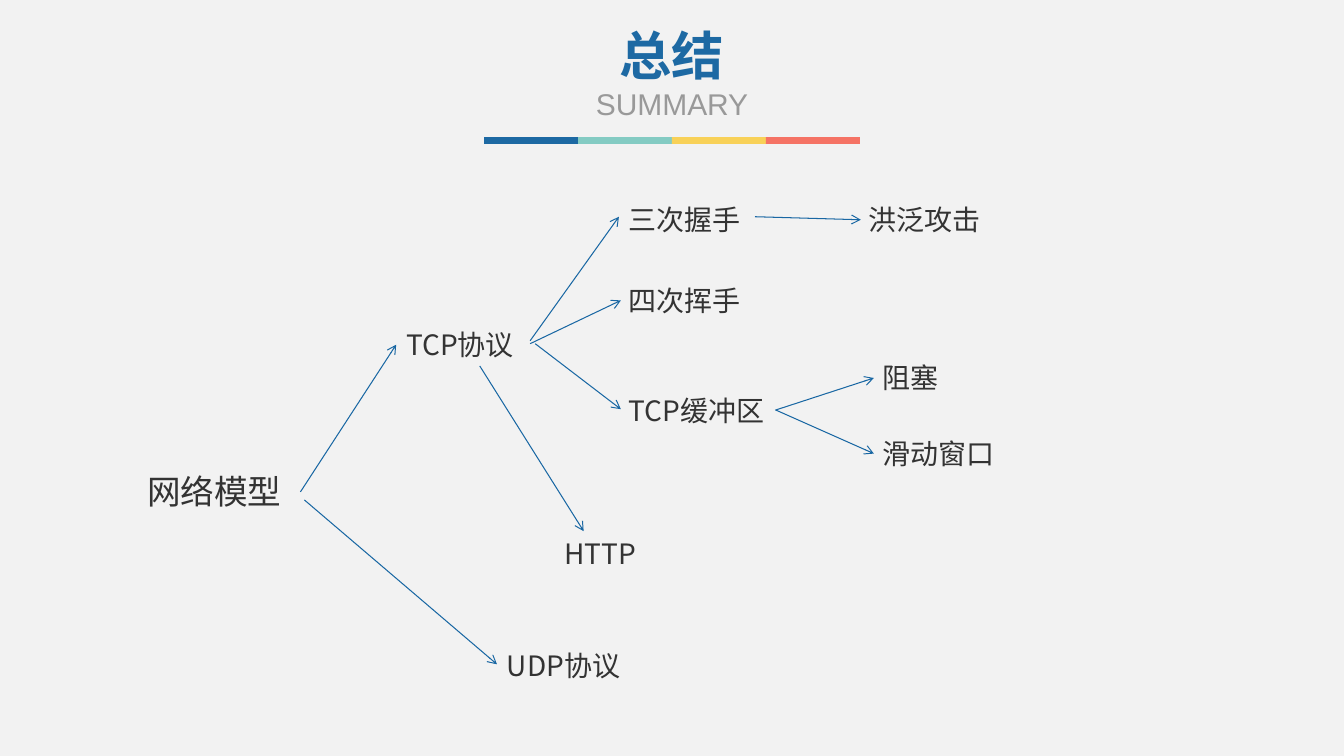
from pptx import Presentation
from pptx.dml.color import RGBColor
from pptx.enum.shapes import MSO_CONNECTOR, MSO_SHAPE
from pptx.enum.text import MSO_AUTO_SIZE, PP_ALIGN
from pptx.oxml.ns import qn
from pptx.util import Pt
from lxml.etree import SubElement

# Content: lengths in points
CJK = "Noto Sans CJK SC"
BAR_COLORS = ["1D69A3", "84CBC3", "F8D158", "F57365"]
TITLE = [  # text, size, font, colour, bold
    ("总结", 37.4, "Roboto Condensed", "1D69A3", True),
    ("SUMMARY", 21.4, "Arial", "999999", False),
]
NODES = [  # text, left, top, width, size
    ("网络模型", 98, 332.6, 117.4, 24),
    ("TCP协议", 283, 230.4, 118.8, 20),
    ("UDP协议", 355, 459.4, 124.6, 20),
    ("HTTP", 396, 379.4, 100.8, 20),
    ("三次握手", 442, 141.1, 118.8, 20),
    ("四次挥手", 442, 198.7, 118.8, 20),
    ("TCP缓冲区", 442, 277.2, 118.8, 20),
    ("洪泛攻击", 613.4, 141.1, 118.8, 20),
    ("阻塞", 623.5, 254.2, 118.8, 20),
    ("滑动窗口", 623.5, 308.2, 118.8, 20),
]
ARROWS = [  # start x, start y, end x, end y
    (217.4, 357.1, 355, 474.5),
    (214.6, 351.4, 283, 246.2),
    (342.7, 261.4, 416.9, 379.4),
    (378.7, 243.4, 442.1, 154.8),
    (378.7, 245.5, 443.5, 214.6),
    (382.3, 245.5, 443.5, 292.3),
    (539.3, 154.8, 614.9, 157),
    (553.7, 293, 624.2, 270),
    (554.4, 293, 624.2, 324),
]
BAR_LEFT, BAR_TOP, BAR_W, BAR_H = 345.8, 97.9, 67.1, 5


def rgb(color):
    return RGBColor.from_string(color)


def add_text(s, left, top, width, height, lines, align):
    tf = s.shapes.add_textbox(Pt(left), Pt(top), Pt(width), Pt(height)).text_frame
    tf.word_wrap = True
    tf.auto_size = MSO_AUTO_SIZE.SHAPE_TO_FIT_TEXT
    for i, (text, size, font, color, bold) in enumerate(lines):
        p = tf.paragraphs[0] if i == 0 else tf.add_paragraph()
        p.text, p.alignment = text, align
        p.font.size, p.font.bold, p.font.name = Pt(size), bold, font
        p.font.color.rgb = rgb(color)
        # East Asian typeface follows the Latin one
        latin = p._p.pPr.find(qn("a:defRPr")).find(qn("a:latin"))
        ea = SubElement(latin.getparent(), qn("a:ea"), typeface=CJK)
        latin.addnext(ea)


def add_arrow(s, x1, y1, x2, y2):
    line = s.shapes.add_connector(MSO_CONNECTOR.STRAIGHT, Pt(x1), Pt(y1), Pt(x2), Pt(y2))
    line.line.color.rgb = rgb("1967A3")
    line.line.width = Pt(0.75)
    SubElement(line.line._get_or_add_ln(), qn("a:tailEnd"), type="arrow")
    SubElement(line._element.spPr, qn("a:effectLst"))


prs = Presentation()
prs.slide_width, prs.slide_height = Pt(960), Pt(540)
s = prs.slides.add_slide(prs.slide_layouts[6])
s.background.fill.solid()
s.background.fill.fore_color.rgb = rgb("F2F2F2")

# Heading with its four-colour rule
for i, color in enumerate(BAR_COLORS):
    sp = s.shapes.add_shape(MSO_SHAPE.RECTANGLE, Pt(BAR_LEFT + i * BAR_W), Pt(BAR_TOP),
                            Pt(BAR_W), Pt(BAR_H))
    sp.shadow.inherit = False
    sp.fill.solid()
    sp.fill.fore_color.rgb = rgb(color)
    sp.line.fill.background()
add_text(s, 402.3, 13, 155.5, 78.5, TITLE, PP_ALIGN.CENTER)

# Topic tree
for text, left, top, width, size in NODES:
    add_text(s, left, top, width, 1.2 * size + 7.2,
             [(text, size, CJK, "333333", False)], PP_ALIGN.LEFT)
for ends in ARROWS:
    add_arrow(s, *ends)

prs.save("out.pptx")
